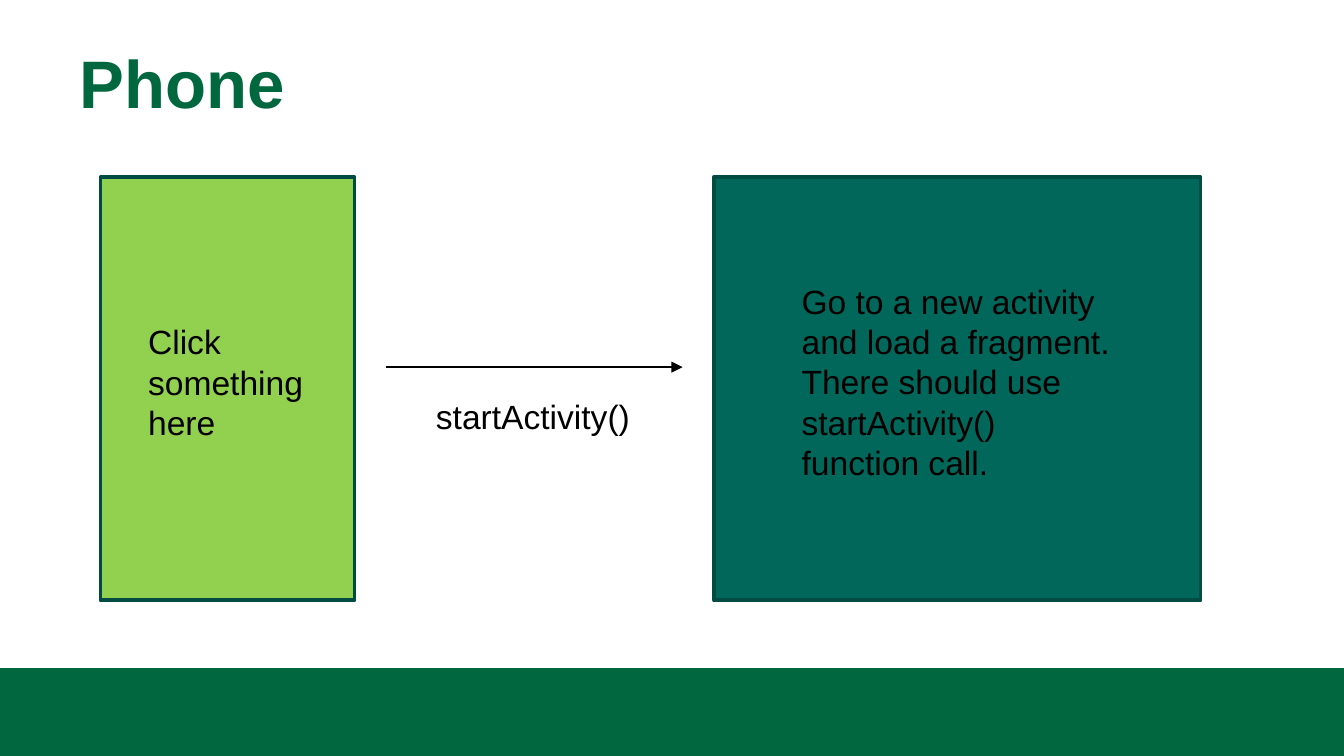
import pptx
import pptx.dml.color
import pptx.enum.shapes
import pptx.enum.text
import pptx.oxml
import pptx.oxml.ns
import pptx.util
from pptx.util import Cm

RGBColor = pptx.dml.color.RGBColor
GREEN = RGBColor(0x00, 0x67, 0x3E)
LIME = RGBColor(0x92, 0xD0, 0x50)
TEAL = RGBColor(0x00, 0x67, 0x5A)
EDGE = RGBColor(0x00, 0x4C, 0x43)
BLACK = RGBColor(0, 0, 0)

WIDTH, HEIGHT = 25.4, 14.29
BAND_TOP = 12.63
BOX_TOP, BOX_TALL = 3.35, 8

BODY = {"name": "Arial", "size": pptx.util.Pt(18)}
HEAD = {"name": "Arial", "size": pptx.util.Pt(36), "bold": True}


def set_text(frame, lines, style, color):
    """Write one paragraph for each line, all in one style."""
    frame.text = "\n".join(lines)
    for para in frame.paragraphs:
        para.alignment = pptx.enum.text.PP_ALIGN.LEFT
        for run in para.runs:
            for key, value in style.items():
                setattr(run.font, key, value)
            run.font.color.rgb = color


def set_title(slide, text):
    title = slide.shapes.title
    place = {"left": 1.3, "top": 0.53, "width": 22.8, "height": 2.5}
    for key, value in place.items():
        setattr(title, key, Cm(value))
    frame = title.text_frame
    frame.vertical_anchor = pptx.enum.text.MSO_ANCHOR.TOP
    frame.margin_top = Cm(0.25)
    frame.margin_left = Cm(0.2)
    set_text(frame, [text], HEAD, GREEN)


def add_rect(slide, left, top, width, height, fill, edge=None):
    rect = slide.shapes.add_shape(
        pptx.enum.shapes.MSO_SHAPE.RECTANGLE,
        Cm(left), Cm(top), Cm(width), Cm(height))
    rect.shadow.inherit = False
    rect.fill.solid()
    rect.fill.fore_color.rgb = fill
    if edge is None:
        rect.line.fill.background()
    else:
        rect.line.color.rgb = edge
        rect.line.width = pptx.util.Pt(2)


def add_text(slide, left, top, width, height, lines, wrap=True):
    box = slide.shapes.add_textbox(Cm(left), Cm(top), Cm(width), Cm(height))
    frame = box.text_frame
    frame.word_wrap = wrap
    frame.auto_size = pptx.enum.text.MSO_AUTO_SIZE.SHAPE_TO_FIT_TEXT
    set_text(frame, lines, BODY, BLACK)


def add_arrow(slide, start, end, level):
    """Draw a level arrow from left to right."""
    arrow = slide.shapes.add_connector(
        pptx.enum.shapes.MSO_CONNECTOR.STRAIGHT,
        Cm(start), Cm(level), Cm(end), Cm(level))
    arrow.line.color.rgb = BLACK
    arrow.line.width = pptx.util.Pt(0.75)
    tail = pptx.oxml.parse_xml(
        f'<a:tailEnd {pptx.oxml.ns.nsdecls("a")} type="triangle"/>')
    arrow.line._get_or_add_ln().append(tail)
    flat = pptx.oxml.parse_xml(
        f'<a:effectLst {pptx.oxml.ns.nsdecls("a")}/>')
    arrow._element.spPr.append(flat)


def main():
    deck = pptx.Presentation()
    deck.slide_width, deck.slide_height = Cm(WIDTH), Cm(HEIGHT)
    slide = deck.slides.add_slide(deck.slide_layouts[5])

    add_rect(slide, 0, BAND_TOP, WIDTH, HEIGHT - BAND_TOP, GREEN)
    set_title(slide, "Phone")

    add_rect(slide, 1.9, BOX_TOP, 4.8, BOX_TALL, LIME, EDGE)
    add_rect(slide, 13.49, BOX_TOP, 9.2, BOX_TALL, TEAL, EDGE)

    add_text(slide, 2.55, 5.95, 3.45, 2.57, ["Click something here"])
    add_text(slide, 14.9, 5.18, 7.04, 4.11, [
        "Go to a new activity and load a fragment.",
        "There should use startActivity()",
        "function call.",
    ])

    add_arrow(slide, 7.3, 12.9, 6.94)
    add_text(slide, 7.99, 7.35, 4.22, 1.02, ["startActivity()"], wrap=False)

    deck.save("out.pptx")


if __name__ == "__main__":
    main()
